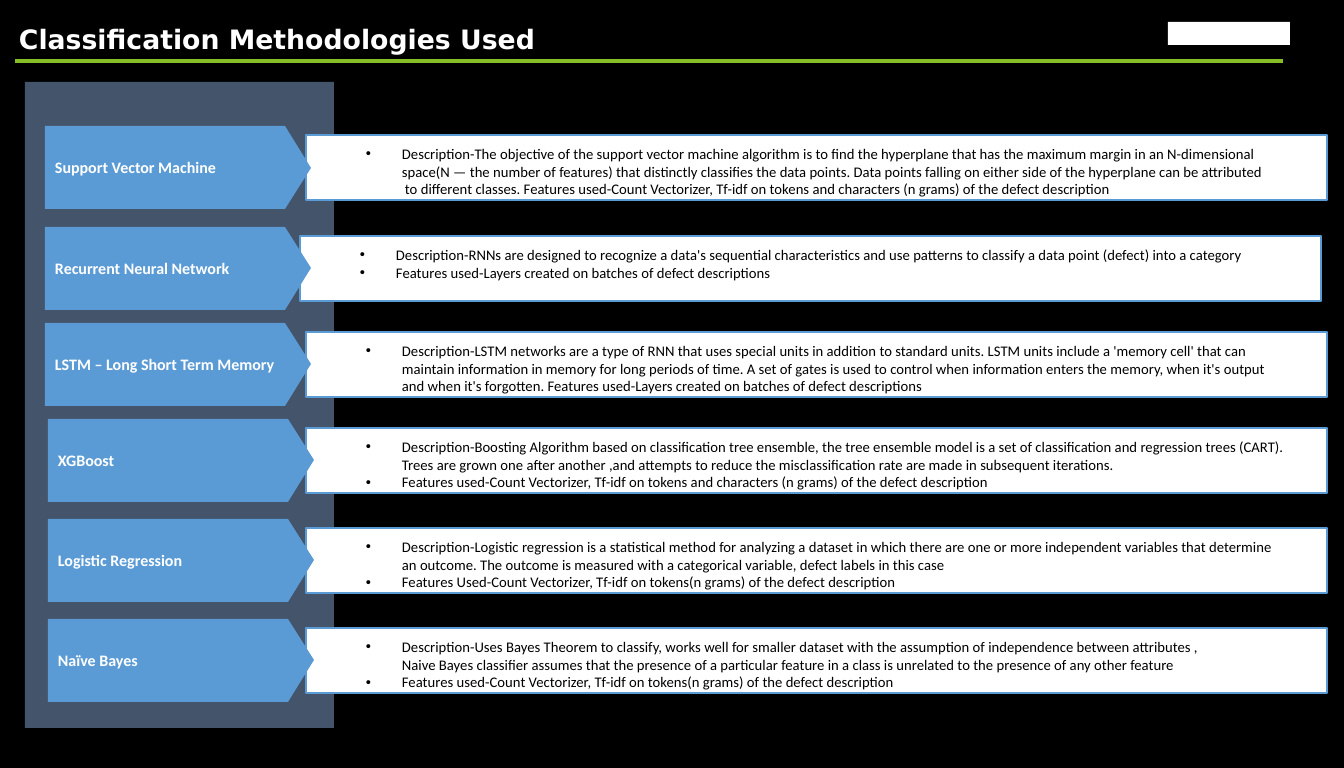
from lxml.etree import SubElement
from pptx import Presentation
from pptx.dml.color import RGBColor
from pptx.enum.shapes import MSO_CONNECTOR, MSO_SHAPE
from pptx.enum.text import MSO_ANCHOR, PP_ALIGN
from pptx.oxml.ns import qn
from pptx.util import Pt

PX = 9525  # EMU per pixel at 96 px to the inch

BLACK, WHITE = "000000", "FFFFFF"
BLUE, SLATE, GREEN = "5B9BD5", "44546A", "86BC25"

LABEL_FONT = {"name": "Calibri", "size": Pt(12), "bold": True}
DETAIL_FONT = {"name": "Calibri", "size": Pt(11), "bold": False}
TITLE_FONT = {"name": "DejaVu Sans", "size": Pt(20), "bold": True}

ARROW_WIDTH, ARROW_HEIGHT, ARROW_SHOULDER = 266, 83, 240
PANEL_WIDTH, PANEL_HEIGHT, PANEL_DROP = 1021, 65, 9
TEXT_INDENT, BULLET_HANG = 86, 36

# Method, arrow left, arrow top, panel left, lines as (bulleted, extra indent, text)
METHODS = [
    ("Support Vector Machine", 45, 126, 306, [
        (True, 0, "Description-The objective of the support vector machine algorithm is to find the hyperplane that has the maximum margin in an N-dimensional"),
        (False, 0, "space(N — the number of features) that distinctly classifies the data points. Data points falling on either side of the hyperplane can be attributed"),
        (False, 3, "to different classes. Features used-Count Vectorizer, Tf-idf on tokens and characters (n grams) of the defect description"),
    ]),
    ("Recurrent Neural Network", 45, 227, 300, [
        (True, 0, "Description-RNNs are designed to recognize a data's sequential characteristics and use patterns to classify a data point (defect) into a category"),
        (True, 0, "Features used-Layers created on batches of defect descriptions"),
    ]),
    ("LSTM – Long Short Term Memory", 45, 323, 306, [
        (True, 0, "Description-LSTM networks are a type of RNN that uses special units in addition to standard units. LSTM units include a 'memory cell' that can"),
        (False, 0, "maintain information in memory for long periods of time. A set of gates is used to control when information enters the memory, when it's output"),
        (False, 0, "and when it's forgotten. Features used-Layers created on batches of defect descriptions"),
    ]),
    ("XGBoost", 48, 419, 306, [
        (True, 0, "Description-Boosting Algorithm based on classification tree ensemble, the tree ensemble model is a set of classification and regression trees (CART)."),
        (False, 0, "Trees are grown one after another ,and attempts to reduce the misclassification rate are made in subsequent iterations."),
        (True, 0, "Features used-Count Vectorizer, Tf-idf on tokens and characters (n grams) of the defect description"),
    ]),
    ("Logistic Regression", 48, 519, 306, [
        (True, 0, "Description-Logistic regression is a statistical method for analyzing a dataset in which there are one or more independent variables that determine"),
        (False, 0, "an outcome. The outcome is measured with a categorical variable, defect labels in this case"),
        (True, 0, "Features Used-Count Vectorizer, Tf-idf on tokens(n grams) of the defect description"),
    ]),
    ("Naïve Bayes", 48, 619, 306, [
        (True, 0, "Description-Uses Bayes Theorem to classify, works well for smaller dataset with the assumption of independence between attributes ,"),
        (False, 0, "Naive Bayes classifier assumes that the presence of a particular feature in a class is unrelated to the presence of any other feature"),
        (True, 0, "Features used-Count Vectorizer, Tf-idf on tokens(n grams) of the defect description"),
    ]),
]


def paint(color_holder, color):
    """Apply a hex colour to a fill or a line fill."""
    color_holder.solid()
    color_holder.fore_color.rgb = RGBColor.from_string(color)


def finish(shape, fill, outline=None):
    shape.shadow.inherit = False
    paint(shape.fill, fill)
    if outline:
        paint(shape.line.fill, outline)
        shape.line.width = Pt(1)
    else:
        shape.line.fill.background()


def set_frame(shape, anchor):
    frame = shape.text_frame
    margins = {f"margin_{side}": 10 * PX for side in ("left", "top", "right", "bottom")}
    for name, value in {"word_wrap": True, "vertical_anchor": anchor, **margins}.items():
        setattr(frame, name, value)
    return frame


def write(paragraph, text, font_values, color):
    paragraph.alignment = PP_ALIGN.LEFT
    run = paragraph.add_run()
    run.text = text
    for name, value in font_values.items():
        setattr(run.font, name, value)
    paint(run.font.fill, color)


def indent(paragraph, margin, bulleted):
    paragraph.level = 1
    properties = paragraph._p.get_or_add_pPr()
    properties.set("marL", str(margin * PX))
    properties.set("indent", str(-BULLET_HANG * PX if bulleted else 0))
    if bulleted:
        SubElement(properties, qn("a:buFont"), typeface="Arial")
        SubElement(properties, qn("a:buChar"), char="•")
    else:
        SubElement(properties, qn("a:buNone"))


def add_block(slide, left, top, width, height, fill, outline=None):
    block = slide.shapes.add_shape(
        MSO_SHAPE.RECTANGLE, left * PX, top * PX, width * PX, height * PX)
    finish(block, fill, outline)
    return block


def add_detail_panel(slide, left, top, lines):
    panel = add_block(slide, left, top, PANEL_WIDTH, PANEL_HEIGHT, WHITE, BLUE)
    frame = set_frame(panel, MSO_ANCHOR.TOP)
    for number, (bulleted, extra, text) in enumerate(lines):
        paragraph = frame.add_paragraph() if number else frame.paragraphs[0]
        indent(paragraph, TEXT_INDENT + extra, bulleted)
        write(paragraph, text, DETAIL_FONT, BLACK)


def add_method_arrow(slide, left, top, method):
    outline = slide.shapes.build_freeform(left, top, scale=PX)
    outline.add_line_segments([
        (left + ARROW_SHOULDER, top),
        (left + ARROW_WIDTH, top + ARROW_HEIGHT / 2),
        (left + ARROW_SHOULDER, top + ARROW_HEIGHT),
        (left, top + ARROW_HEIGHT),
    ], close=True)
    arrow = outline.convert_to_shape()
    finish(arrow, BLUE)
    frame = set_frame(arrow, MSO_ANCHOR.MIDDLE)
    write(frame.paragraphs[0], method, LABEL_FONT, WHITE)


def add_title(slide, text):
    title = slide.shapes.add_textbox(9 * PX, 0, 755 * PX, 60 * PX)
    frame = set_frame(title, MSO_ANCHOR.BOTTOM)
    frame.margin_bottom = 5 * PX
    frame.paragraphs[0].line_spacing = 0.9
    write(frame.paragraphs[0], text, TITLE_FONT, WHITE)


def add_rule(slide, left, right, y):
    rule = slide.shapes.add_connector(
        MSO_CONNECTOR.STRAIGHT, left * PX, y * PX, right * PX, y * PX)
    paint(rule.line.fill, GREEN)
    rule.line.width = Pt(3)
    SubElement(rule._element.spPr, qn("a:effectLst"))


def main():
    deck = Presentation()
    deck.slide_width, deck.slide_height = 1344 * PX, 768 * PX
    slide = deck.slides.add_slide(deck.slide_layouts[6])
    paint(slide.background.fill, BLACK)

    # Side band behind the methods
    add_block(slide, 25, 82, 309, 646, SLATE)

    # One panel and one arrow per method
    for method, arrow_left, top, panel_left, lines in METHODS:
        add_detail_panel(slide, panel_left, top + PANEL_DROP, lines)
        add_method_arrow(slide, arrow_left, top, method)

    # Header: rule, brand block, title
    add_rule(slide, 15, 1283, 61)
    add_block(slide, 1168, 22, 122, 23, WHITE)
    add_title(slide, "Classification Methodologies Used")

    deck.save("out.pptx")


if __name__ == "__main__":
    main()
